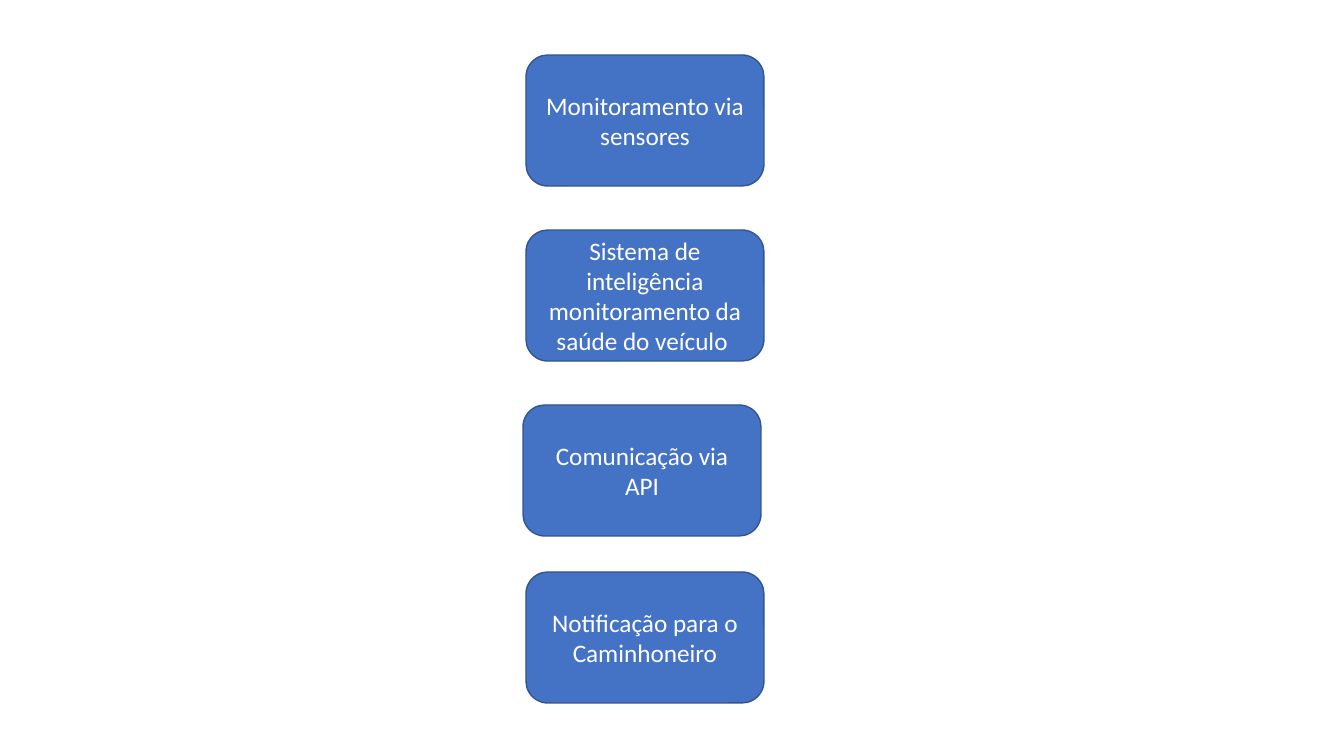
from pptx import Presentation
from pptx import util as u
from pptx.dml.color import RGBColor
from pptx.enum import shapes, text

SCALE = 914400 / 100.8  # EMU per pixel
COLORS = {"box": "4472C4", "edge": "325491", "label": "FFFFFF"}
FONT = "Calibri"
BOX_W, BOX_H = 238, 131

# Steps from back to front: left, top, label
STEPS = [
    (526, 55, "Monitoramento via sensores"),
    (523, 405, "Comunicação via API"),
    (526, 230, "Sistema de inteligência monitoramento da saúde do veículo "),
    (526, 572, "Notificação para o Caminhoneiro"),
]


def px(n):
    return u.Emu(round(n * SCALE))


def rgb(name):
    return RGBColor.from_string(COLORS[name])


def add_step(s, left, top, width, height, label):
    """Rounded box with a centred label."""
    sp = s.shapes.add_shape(shapes.MSO_SHAPE.ROUNDED_RECTANGLE,
                            px(left), px(top), px(width), px(height))
    sp.shadow.inherit = False
    sp.fill.solid()
    sp.fill.fore_color.rgb = rgb("box")
    sp.line.color.rgb = rgb("edge")
    sp.line.width = u.Pt(1)

    # Label
    tf = sp.text_frame
    tf.word_wrap = True
    tf.vertical_anchor = text.MSO_ANCHOR.MIDDLE
    p = tf.paragraphs[0]
    p.alignment = text.PP_ALIGN.CENTER
    r = p.add_run()
    r.text = label
    r.font.name = FONT
    r.font.size = u.Pt(18)
    r.font.color.rgb = rgb("label")


prs = Presentation()
prs.slide_width, prs.slide_height = px(1344), px(756)
s = prs.slides.add_slide(prs.slide_layouts[6])

# Process steps
for left, top, label in STEPS:
    add_step(s, left, top, BOX_W, BOX_H, label)

prs.save("out.pptx")
